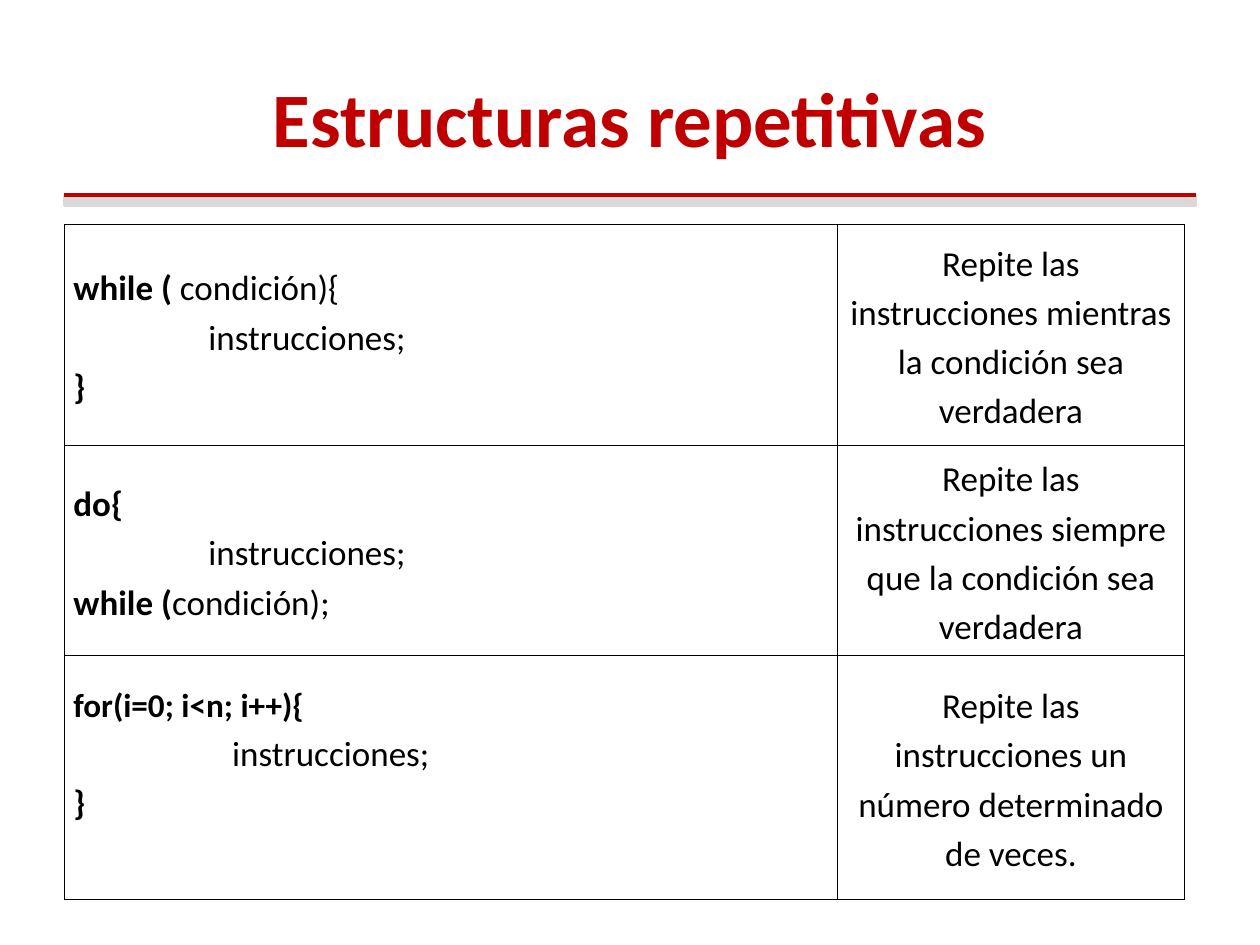
from lxml import etree
from pptx import Presentation, util as u
from pptx.dml.color import RGBColor
from pptx.enum import shapes, text
from pptx.oxml import ns

RED, GREY, BLACK = "C00000", "D9D9D9", "000000"


def color(code):
    return RGBColor.from_string(code)


def write(par, words, **form):
    """Add a Calibri run; form holds font attributes such as size and bold."""
    run = par.add_run()
    run.text = words
    hue = form.pop("hue", BLACK)
    for key, val in {"name": "Calibri", "size": u.Pt(20), **form}.items():
        setattr(run.font, key, val)
    run.font.color.rgb = color(hue)


deck = Presentation()
deck.slide_width, deck.slide_height = u.Cm(25.4), u.Cm(19.05)
slide = deck.slides.add_slide(deck.slide_layouts[6])
left, wide, top = u.Cm(1.3), u.Cm(22.8), u.Cm(3.94)

# Rule under the title: grey bar with a red line on its upper edge
bar = slide.shapes.add_shape(shapes.MSO_SHAPE.RECTANGLE, left, top, wide, u.Cm(0.2))
bar.shadow.inherit = False
bar.fill.solid()
bar.fill.fore_color.rgb = color(GREY)
bar.line.color.rgb = color(GREY)
bar.line.width = u.Pt(2)

rule = slide.shapes.add_connector(
    shapes.MSO_CONNECTOR.STRAIGHT, left, top, left + wide, top)
rule.line.color.rgb = color(RED)
rule.line.width = u.Pt(2.25)
etree.SubElement(rule._element.spPr, ns.qn("a:effectLst"))

# Title
box = slide.shapes.add_textbox(u.Cm(1.27), u.Cm(0.76), u.Cm(22.86), u.Cm(3.18))
frame = box.text_frame
frame.word_wrap = True
frame.vertical_anchor = text.MSO_ANCHOR.MIDDLE
head = frame.paragraphs[0]
head.alignment = text.PP_ALIGN.CENTER
write(head, "Estructuras repetitivas", size=u.Pt(44), bold=True, hue=RED)

# Each row: code lines as (bold part, plain part), body indent in cm, meaning
loops = [
    ([("while (", " condición){"), ("", "instrucciones;"), ("}", "")], 2.72,
     "Repite las instrucciones mientras la condición sea verdadera"),
    ([("do{", ""), ("", "instrucciones;"), ("while (", "condición);")], 2.72,
     "Repite las instrucciones siempre que la condición sea verdadera"),
    ([("for(i=0; i<n; i++){", ""), ("", "instrucciones;"), ("}", "")], 3.2,
     "Repite las instrucciones un número determinado de veces."),
]
cols, rows = (15.58, 7.0), (4.46, 4.24, 4.9)
grid = slide.shapes.add_table(
    len(rows), len(cols), left, u.Cm(4.52), u.Cm(sum(cols)), u.Cm(sum(rows))).table
grid.first_row = grid.horz_banding = False
for col, size in zip(grid.columns, cols):
    col.width = u.Cm(size)
for row, size in zip(grid.rows, rows):
    row.height = u.Cm(size)

edge = {"margin_left": u.Cm(0.18), "margin_right": u.Cm(0.18),
        "margin_top": u.Cm(0.13), "margin_bottom": u.Cm(0.13),
        "vertical_anchor": text.MSO_ANCHOR.MIDDLE}
for cell in grid.iter_cells():
    for key, val in edge.items():
        setattr(cell, key, val)
    props = cell._tc.get_or_add_tcPr()
    for side in ("lnL", "lnR", "lnT", "lnB"):
        line = etree.SubElement(props, ns.qn(f"a:{side}"), w=str(u.Pt(0.45)))
        fill = etree.SubElement(line, ns.qn("a:solidFill"))
        etree.SubElement(fill, ns.qn("a:srgbClr"), val=BLACK)
    cell.fill.background()

for num, (code, indent, note) in enumerate(loops):
    frame = grid.cell(num, 0).text_frame
    for pos, (bold, plain) in enumerate(code):
        par = frame.add_paragraph() if pos else frame.paragraphs[0]
        par.line_spacing = 1.15
        if bold:
            write(par, bold, bold=True, size=u.Pt(19 if bold[:3] == "for" else 20))
        else:
            par._p.get_or_add_pPr().set("marL", str(u.Cm(indent)))
        if plain:
            write(par, plain, bold=False)
    par = grid.cell(num, 1).text_frame.paragraphs[0]
    par.alignment = text.PP_ALIGN.CENTER
    par.line_spacing = 1.15
    write(par, note, bold=False)

# The last code block sits one line higher than the middle of its cell
grid.cell(2, 0).margin_bottom = u.Cm(1.12)

deck.save("out.pptx")
